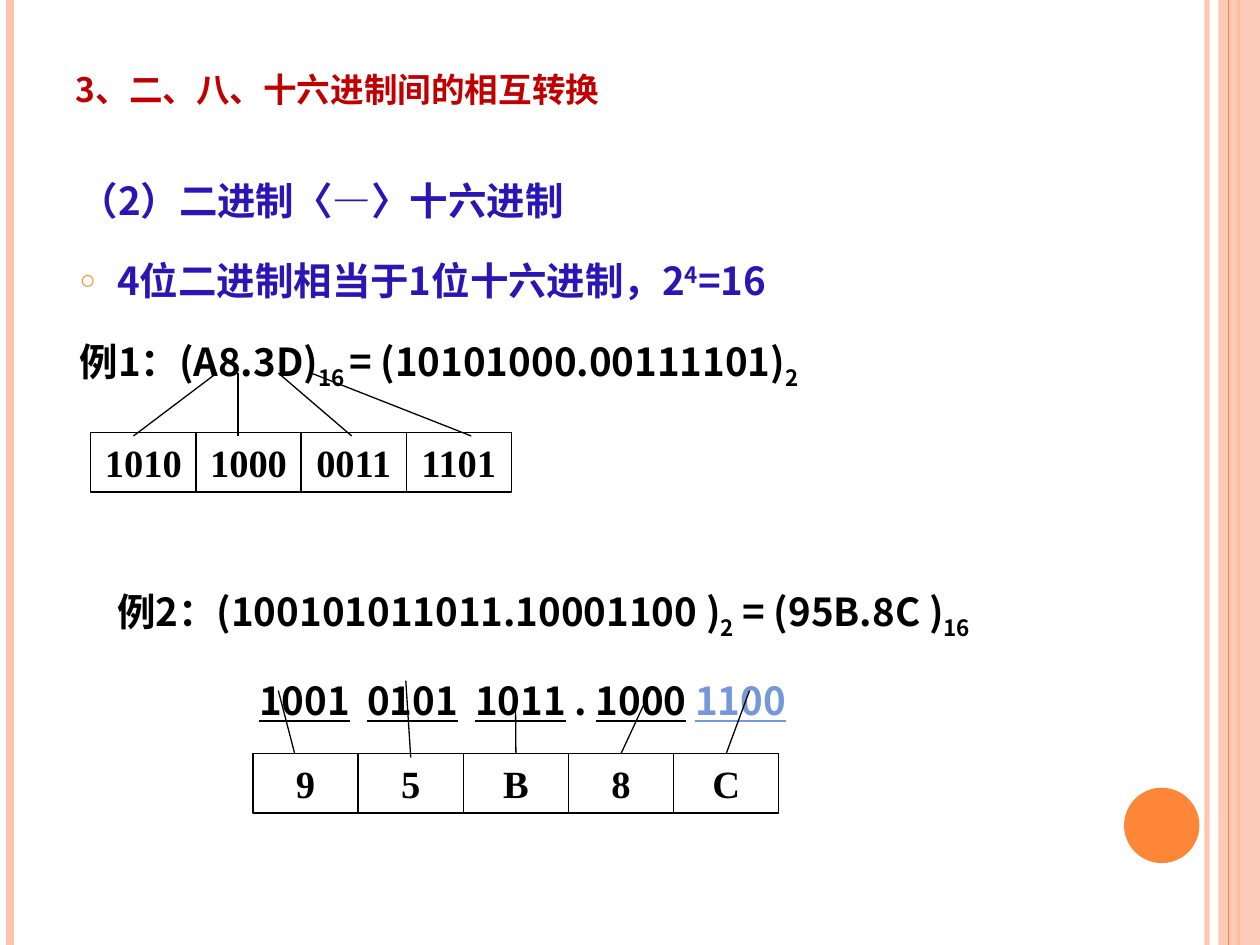
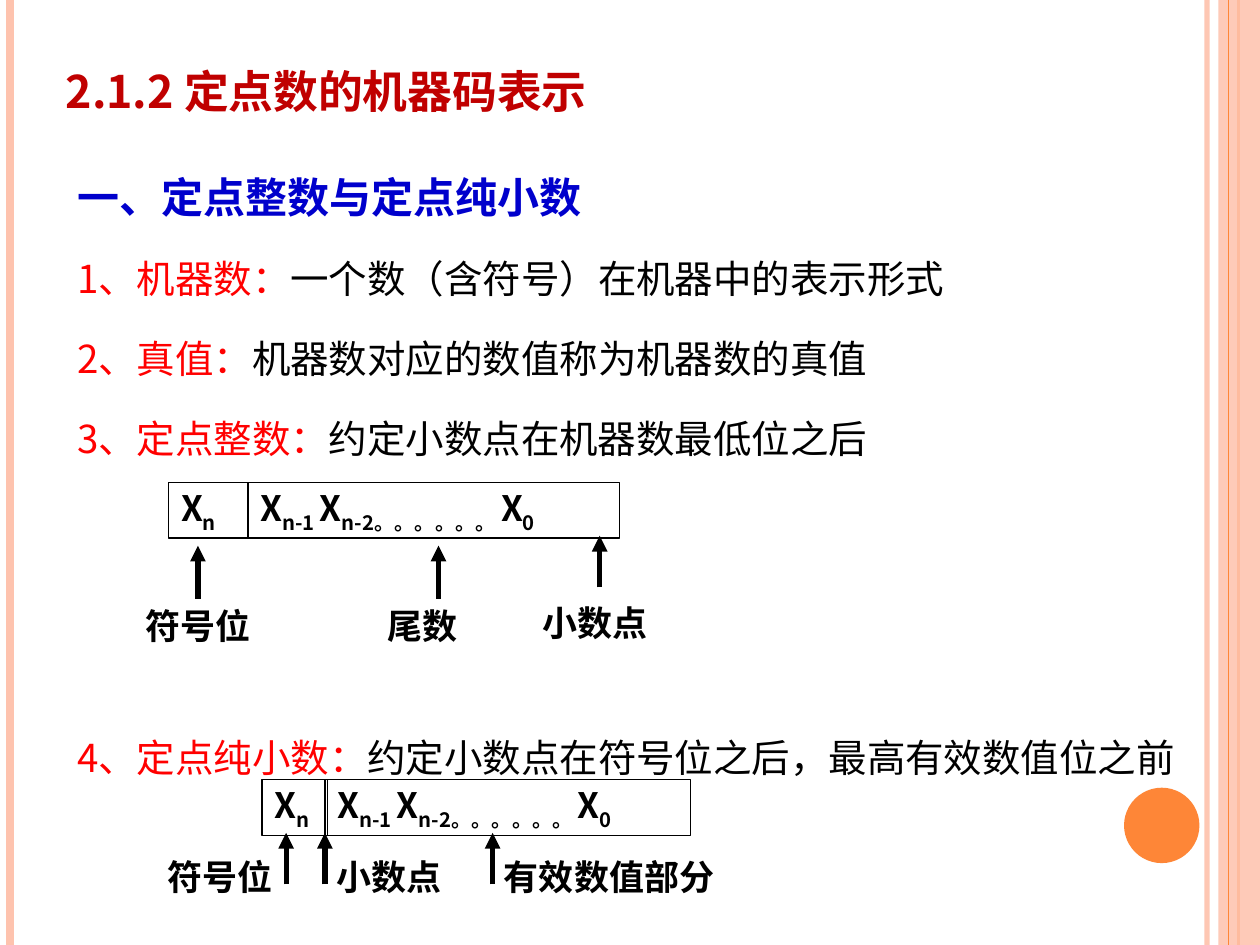
from dataclasses import dataclass
from typing import Optional

import pptx
import pptx.dml.color
import pptx.enum.shapes
import pptx.enum.text
import pptx.oxml.ns
import pptx.util
from lxml import etree

Cm, Pt = pptx.util.Cm, pptx.util.Pt
ALIGN = pptx.enum.text.PP_ALIGN
PRESET = pptx.enum.shapes.MSO_SHAPE

COLORS = {
    "band": "FEC3AE", "accent": "FE8637", "title": "C00000", "hex": "2916B4",
    "heading": "0000CC", "term": "FF0000", "text": "000000", "padded": "7598D9",
}
SANS, SERIF = "Noto Sans CJK SC", "Times New Roman"
SUB, SUPER = -25000, 30000


@dataclass
class Piece:
    text: str
    baseline: int = 0
    color: Optional[str] = None
    underline: bool = False
    spacing: int = 0  # hundredths of a point


@dataclass
class Line:
    pieces: list[Piece]
    color: str = "text"
    size: float = 22
    bold: bool = True
    font: str = SANS
    align: Optional[int] = None
    height: Optional[float] = None
    before: float = 0
    margin: float = 0
    indent: float = 0
    bullet: bool = False
    small_caps: bool = False


@dataclass
class Box:
    left: float
    top: float
    width: float
    height: float

    def lengths(self) -> list[int]:
        return [Cm(v) for v in (self.left, self.top, self.width, self.height)]


@dataclass
class Link:
    """A straight line; cell is the index of the box whose top it joins."""
    x1: float
    y1: float
    x2: float
    y2: float
    cell: Optional[int] = None


@dataclass
class Label:
    text: str
    box: Box
    align: int = ALIGN.LEFT


# Formatting helpers
def rgb(name: str) -> pptx.dml.color.RGBColor:
    return pptx.dml.color.RGBColor.from_string(COLORS[name])


def add_xml(parent, tag: str, **attributes: str):
    return etree.SubElement(parent, pptx.oxml.ns.qn(tag), attributes)


def set_opacity(element, percent: int) -> None:
    for color in element.iter(pptx.oxml.ns.qn("a:srgbClr")):
        add_xml(color, "a:alpha", val=str(percent * 1000))


def write_line(paragraph, line: Line) -> None:
    properties = paragraph._p.get_or_add_pPr()
    properties.set("marL", str(Cm(line.margin)))
    properties.set("indent", str(Cm(line.indent)))
    if line.bullet:
        add_xml(add_xml(properties, "a:buClr"), "a:srgbClr", val=COLORS["accent"])
        add_xml(properties, "a:buSzPct", val="70000")
        add_xml(properties, "a:buChar", char="○")
    else:
        add_xml(properties, "a:buNone")
    paragraph.alignment = line.align or ALIGN.LEFT
    paragraph.space_before = Pt(line.before)
    if line.height:
        paragraph.line_spacing = Pt(line.height)
    font = paragraph.font
    font.size, font.bold, font.name = Pt(line.size), line.bold, line.font
    font.color.rgb = rgb(line.color)
    defaults = properties.get_or_add_defRPr()
    add_xml(defaults, "a:ea", typeface=line.font)
    if line.small_caps:
        defaults.set("cap", "small")
    for piece in line.pieces:
        run = paragraph.add_run()
        run.text = piece.text
        if piece.color:
            run.font.color.rgb = rgb(piece.color)
        if piece.underline:
            run.font.underline = True
        if piece.baseline:
            run._r.get_or_add_rPr().set("baseline", str(piece.baseline))
        if piece.spacing:
            run._r.get_or_add_rPr().set("spc", str(piece.spacing))


def write_text(shape, lines: list[Line], middle: bool = True) -> None:
    frame = shape.text_frame
    frame.word_wrap = True
    frame.auto_size = pptx.enum.text.MSO_AUTO_SIZE.NONE
    anchors = pptx.enum.text.MSO_ANCHOR
    frame.vertical_anchor = anchors.MIDDLE if middle else anchors.TOP
    for index, line in enumerate(lines):
        write_line(frame.add_paragraph() if index else frame.paragraphs[0], line)


# Drawing helpers
def draw_link(slide, link: Link, color: str = "text", width: float = 0.75,
              arrow: bool = False):
    connector = slide.shapes.add_connector(
        pptx.enum.shapes.MSO_CONNECTOR.STRAIGHT,
        Cm(link.x1), Cm(link.y1), Cm(link.x2), Cm(link.y2))
    connector.line.color.rgb = rgb(color)
    connector.line.width = Pt(width)
    if arrow:
        add_xml(connector.line._get_or_add_ln(), "a:tailEnd", type="triangle")
    add_xml(connector._element.spPr, "a:effectLst")
    return connector


def draw_solid(slide, preset: int, box: Box, color: str):
    shape = slide.shapes.add_shape(preset, *box.lengths())
    shape.shadow.inherit = False
    shape.fill.solid()
    shape.fill.fore_color.rgb = rgb(color)
    shape.line.fill.background()
    return shape


def draw_cell(slide, box: Box, line: Line):
    cell = slide.shapes.add_shape(PRESET.RECTANGLE, *box.lengths())
    cell.shadow.inherit = False
    cell.fill.background()
    cell.line.color.rgb = rgb("text")
    cell.line.width = Pt(0.75)
    write_text(cell, [line])
    return cell


def draw_digit_row(slide, left: float, top: float, digits: list[str],
                   links: list[Link]) -> None:
    width = 2.12
    cells = [
        draw_cell(slide, Box(left + i * width, top, width, 1.2),
                  Line([Piece(digit)], font=SERIF, align=ALIGN.CENTER))
        for i, digit in enumerate(digits)]
    for link in links:
        connector = draw_link(slide, link)
        if link.cell is not None:
            connector.end_connect(cells[link.cell], 0)


def draw_number_format(slide, sign: Box, digits: Box, labels: list[Label],
                       arrows: list[Link]) -> None:
    draw_cell(slide, digits, Line([
        Piece("X"), Piece("n-1 ", SUB), Piece("X"), Piece("n-2。。。。。。 ", SUB),
        Piece("X"), Piece("0", SUB)], size=20))
    draw_cell(slide, sign, Line([Piece("X"), Piece("n", SUB)], size=20))
    for label in labels:
        write_text(slide.shapes.add_textbox(*label.box.lengths()),
                   [Line([Piece(label.text)], size=20, align=label.align)])
    for arrow in arrows:
        draw_link(slide, arrow, width=3, arrow=True)


def start_slide(deck, title: str, title_size: float, title_box: Box,
                body_box: Box, body: list[Line]):
    slide = deck.slides.add_slide(deck.slide_layouts[1])

    # Side bands and the circle
    for x, color, width, opacity in (
            (24.33, "band", 3, 93), (0.2, "band", 4.5, 100), (24.97, "accent", 1.5, 100)):
        stripe = draw_link(slide, Link(x, 0, x, 19.05), color, width)
        if opacity < 100:
            set_opacity(stripe._element, opacity)
    band = draw_solid(slide, PRESET.RECTANGLE, Box(24.56, 0, 0.84, 19.05), "band")
    set_opacity(band._element, 87)
    draw_link(slide, Link(24.77, 0, 24.77, 19.05), "accent")
    draw_solid(slide, PRESET.OVAL, Box(22.66, 15.88, 1.52, 1.52), "accent")

    # Title and list
    heading, content = slide.shapes.title, slide.placeholders[1]
    for placeholder, box in ((heading, title_box), (content, body_box)):
        (placeholder.left, placeholder.top,
         placeholder.width, placeholder.height) = box.lengths()
    write_text(heading, [Line([Piece(title)], "title", title_size, small_caps=True)])
    write_text(content, body, middle=False)
    return slide


def build_hex_slide(deck) -> None:
    hanging = {"margin": 0.76, "indent": -0.76, "height": 41}
    wide_gap = Piece(" ", spacing=490)
    body = [
        Line([Piece("（2）二进制〈—〉十六进制")], "hex", **hanging),
        Line([Piece("4位二进制相当于1位十六进制，2"), Piece("4", SUPER), Piece("=16")],
             "hex", before=4.7, bullet=True, **hanging),
        Line([Piece("例1：(A8.3D)"), Piece("16 ", SUB),
              Piece("= (10101000.00111101)"), Piece("2", SUB)], before=9.2, **hanging),
        Line([Piece("例2：(100101011011.10001100 )"), Piece("2", SUB),
              Piece(" = (95B.8C )"), Piece("16", SUB)],
             before=102, margin=0.76, height=41),
        Line([Piece("1001", underline=True), wide_gap,
              Piece("0101", underline=True), wide_gap,
              Piece("1011", underline=True), Piece(" . "),
              Piece("1000", underline=True), Piece(" "),
              Piece("1100", color="padded", underline=True)],
             before=5.8, margin=3.62, height=41),
    ]
    slide = start_slide(deck, "3、二、八、十六进制间的相互转换", 24,
                        Box(1.27, 0.13, 20.75, 3.18), Box(1.35, 2.92, 20.75, 13.54), body)

    # Example 1: hexadecimal to binary
    draw_digit_row(slide, 1.83, 8.72, ["1010", "1000", "0011", "1101"], [
        Link(x1, 7.52, x2, 8.79)
        for x1, x2 in ((4.37, 2.69), (4.8, 4.8), (5.61, 7.09), (6.27, 9.5))])

    # Example 2: binary to hexadecimal
    draw_digit_row(slide, 5.1, 15.19, list("95B8C"), [
        Link(5.61, 13.92, 5.94, 15.19),
        Link(8.18, 13.72, 8.28, 15.27),
        Link(10.39, 13.92, 10.39, 15.19, cell=2),
        Link(13.11, 13.92, 12.51, 15.19, cell=3),
        Link(15.11, 13.92, 14.63, 15.19, cell=4)])


def build_fixed_point_slide(deck) -> None:
    definitions = [
        ("1、机器数：", "一个数（含符号）在机器中的表示形式", 4.6),
        ("2、真值：", "机器数对应的数值称为机器数的真值", 4.6),
        ("3、定点整数：", "约定小数点在机器数最低位之后", 4.6),
        ("4、定点纯小数：", "约定小数点在符号位之后，最高有效数值位之前", 141.4),
    ]
    body = [Line([Piece("一、定点整数与定点纯小数")], "heading", 24, height=46)]
    body += [Line([Piece(term, color="term"), Piece(meaning)],
                  bold=False, height=41, before=before)
             for term, meaning, before in definitions]
    slide = start_slide(deck, "2.1.2 定点数的机器码表示", 32,
                        Box(1.07, 0.71, 23.04, 2.06), Box(1.3, 2.72, 23.04, 15.8), body)

    # Fixed-point integer
    draw_number_format(
        slide, Box(3.4, 9.73, 1.6, 1.12), Box(5, 9.73, 7.49, 1.12),
        [Label("符号位", Box(2.69, 12.07, 3.58, 1.09)),
         Label("尾数", Box(7.57, 12.07, 2.82, 1.09)),
         Label("小数点", Box(10.69, 12.01, 3.58, 1.09))],
        [Link(3.99, 12.07, 3.99, 11), Link(8.84, 12.07, 8.84, 11),
         Link(12.09, 11.84, 12.09, 10.8)])

    # Fixed-point fraction
    draw_number_format(
        slide, Box(5.28, 15.72, 1.32, 1.12), Box(6.55, 15.72, 7.37, 1.12),
        [Label("符号位", Box(2.95, 17.12, 2.97, 1.09), ALIGN.CENTER),
         Label("有效数值部分", Box(9.91, 17.12, 4.88, 1.09)),
         Label("小数点", Box(6.53, 17.12, 2.97, 1.09))],
        [Link(x, 17.83, x, 16.79) for x in (5.77, 6.55, 9.93)])


def main() -> None:
    deck = pptx.Presentation()
    deck.slide_width, deck.slide_height = Cm(25.4), Cm(19.05)
    build_hex_slide(deck)
    build_fixed_point_slide(deck)
    deck.save("out.pptx")


if __name__ == "__main__":
    main()
